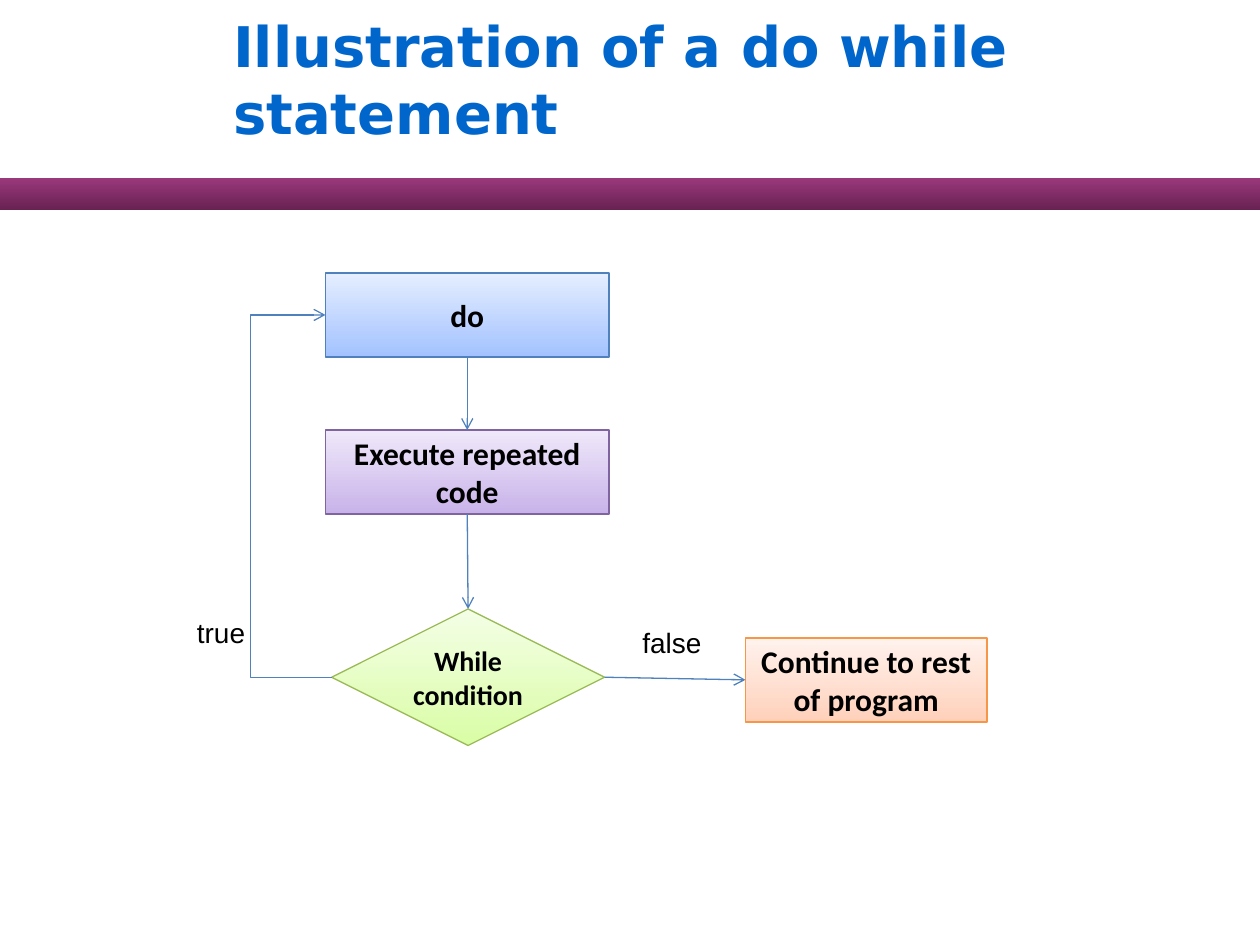
from dataclasses import dataclass

from lxml import etree
from pptx import Presentation
from pptx import util as u
from pptx.dml.color import RGBColor
from pptx.enum import shapes, text
from pptx.oxml import ns

TOP, LEFT, BOTTOM, RIGHT = range(4)  # connection sites


@dataclass(frozen=True)
class Theme:
    title_font: str = "DejaVu Sans"
    step_font: str = "Calibri"
    label_font: str = "Arial"
    title_size: int = 32
    step_size: int = 18
    small_size: int = 16
    title: str = "0066CC"
    ink: str = "000000"
    flow: str = "4F81BD"
    line_width: float = 0.75
    # (gradient bottom, gradient top, outline)
    plum: tuple = ("682252", "99387B", None)
    blue: tuple = ("A3C2FF", "E5EEFF", "4F81BD")
    purple: tuple = ("C8B3E9", "EFE8FA", "8064A2")
    green: tuple = ("D9FDA5", "F4FEE6", "9BBB59")
    orange: tuple = ("FFD1BB", "FFF2ED", "F79646")


THEME = Theme()


def color(value):
    return RGBColor.from_string(value)


def points(*lengths):
    return [u.Pt(length) for length in lengths]


def write(frame, words, font, size, ink=THEME.ink, bold=False,
          align=text.PP_ALIGN.LEFT):
    para = frame.paragraphs[0]
    para.alignment = align
    span = para.add_run()
    span.text = words
    span.font.name = font
    span.font.size = u.Pt(size)
    span.font.bold = bold
    span.font.color.rgb = color(ink)


def set_title(page, words, bounds):
    box = page.shapes.title
    box.left, box.top, box.width, box.height = points(*bounds)
    frame = box.text_frame
    frame.auto_size = text.MSO_AUTO_SIZE.NONE
    frame.vertical_anchor = text.MSO_ANCHOR.MIDDLE
    write(frame, words, THEME.title_font, THEME.title_size, THEME.title, True)


def add_block(page, kind, bounds, palette):
    """Add a shape with a vertical gradient and an optional outline."""
    block = page.shapes.add_shape(kind, *points(*bounds))
    block.shadow.inherit = False
    bottom, top, outline = palette
    block.fill.gradient()
    block.fill.gradient_angle = 90
    for stop, shade in zip(block.fill.gradient_stops, (bottom, top)):
        stop.color.rgb = color(shade)
    if outline:
        block.line.color.rgb = color(outline)
        block.line.width = u.Pt(THEME.line_width)
    else:
        block.line.fill.background()
    return block


def add_step(page, words, bounds, palette, size=THEME.step_size,
             kind=shapes.MSO_SHAPE.FLOWCHART_PROCESS):
    step = add_block(page, kind, bounds, palette)
    frame = step.text_frame
    frame.word_wrap = True
    frame.vertical_anchor = text.MSO_ANCHOR.MIDDLE
    write(frame, words, THEME.step_font, size, bold=True,
          align=text.PP_ALIGN.CENTER)
    return step


def add_label(page, words, bounds):
    box = page.shapes.add_textbox(*points(*bounds))
    box.text_frame.word_wrap = False
    box.text_frame.auto_size = text.MSO_AUTO_SIZE.SHAPE_TO_FIT_TEXT
    write(box.text_frame, words, THEME.label_font, THEME.small_size)


def add_arrow(page, start, start_site, end, end_site, lane=None):
    """Join two steps; a lane is the x position of an elbow's long leg."""
    kind = shapes.MSO_CONNECTOR.STRAIGHT if lane is None else shapes.MSO_CONNECTOR.ELBOW
    arrow = page.shapes.add_connector(kind, 0, 0, 0, 0)
    arrow.begin_connect(start, start_site)
    arrow.end_connect(end, end_site)
    arrow.line.color.rgb = color(THEME.flow)
    arrow.line.width = u.Pt(THEME.line_width)
    properties = arrow._element.spPr
    etree.SubElement(properties.get_or_add_ln(), ns.qn("a:tailEnd"), type="arrow")
    etree.SubElement(properties, ns.qn("a:effectLst"))
    if lane is not None:
        bend = (arrow.begin_x - u.Pt(lane)) / (arrow.begin_x - arrow.end_x)
        guides = properties.find(ns.qn("a:prstGeom")).find(ns.qn("a:avLst"))
        etree.SubElement(guides, ns.qn("a:gd"), name="adj1",
                         fmla=f"val {round(bend * 100000)}")


def main():
    deck = Presentation()
    deck.slide_width, deck.slide_height = points(720, 540)
    page = deck.slides.add_slide(deck.slide_layouts[5])

    add_block(page, shapes.MSO_SHAPE.RECTANGLE, (0, 102, 720, 18), THEME.plum)
    set_title(page, "Illustration of a do while statement", (126, 0, 594, 90))

    do = add_step(page, "do", (186, 156, 162, 48), THEME.blue)
    check = add_step(page, "While condition", (189.5, 348, 156, 78), THEME.green,
                     THEME.small_size, shapes.MSO_SHAPE.FLOWCHART_DECISION)
    repeat = add_step(page, "Execute repeated code", (186, 245.75, 162, 48),
                      THEME.purple)
    rest = add_step(page, "Continue to rest of program", (426, 364.5, 138, 48),
                    THEME.orange)

    add_label(page, "false", (360, 354, 48, 26.6))
    add_label(page, "true", (105.5, 348, 42, 26.6))

    add_arrow(page, check, RIGHT, rest, LEFT)
    add_arrow(page, check, LEFT, do, LEFT, lane=143)
    add_arrow(page, do, BOTTOM, repeat, TOP)
    add_arrow(page, repeat, BOTTOM, check, TOP)

    deck.save("out.pptx")


if __name__ == "__main__":
    main()
